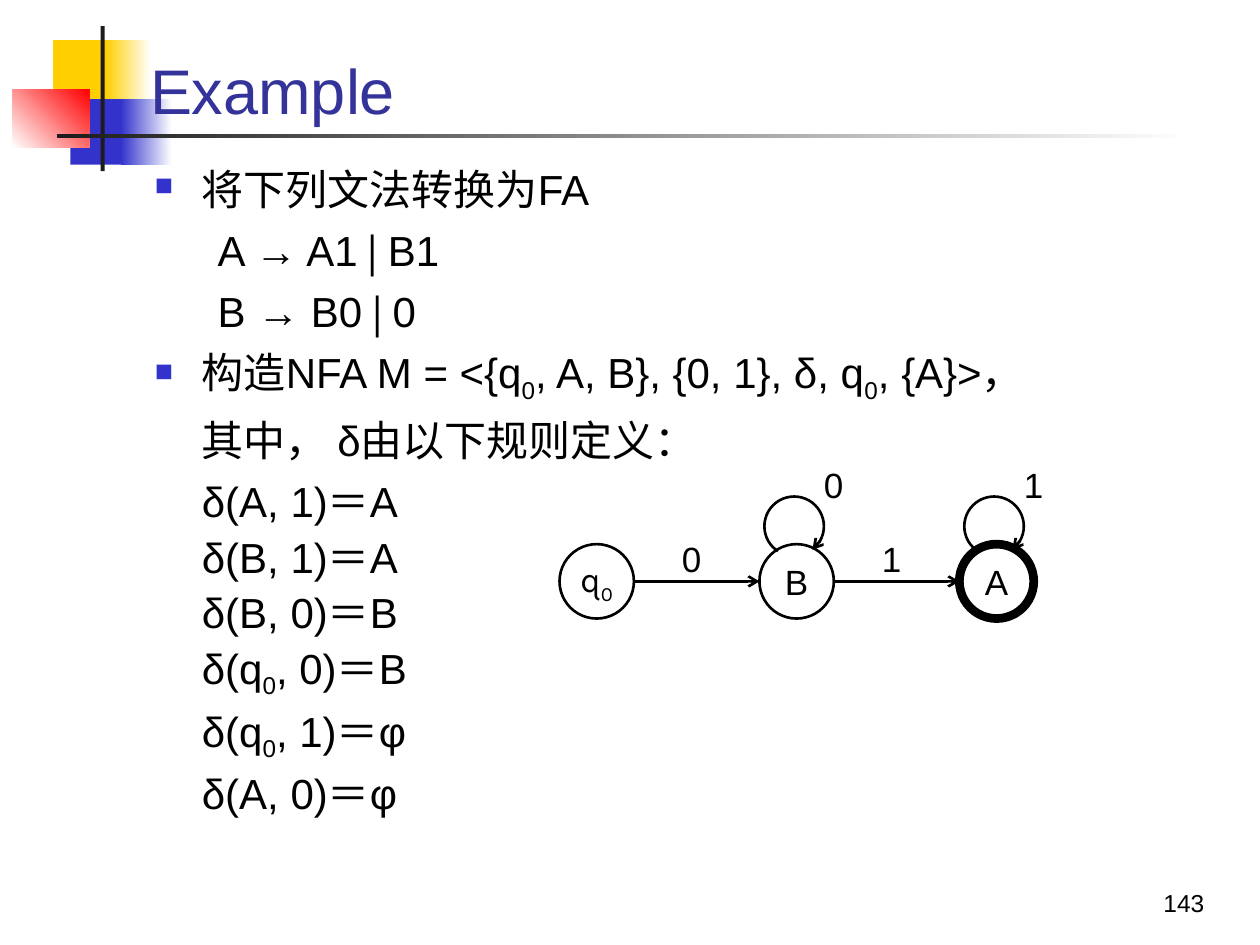
from lxml.etree import SubElement
from pptx import Presentation
from pptx.dml.color import RGBColor
from pptx.enum.shapes import MSO_CONNECTOR, MSO_SHAPE
from pptx.enum.text import MSO_ANCHOR as ANCHOR, MSO_AUTO_SIZE, PP_ALIGN as ALIGN
from pptx.oxml.ns import qn
from pptx.util import Cm, Pt

COLORS = {"yellow": "FFCF01", "blue": "3333CC", "red": "FF0000", "dark": "1C1C1C",
          "white": "FFFFFF", "title": "333399", "ink": "000000"}

# Strings in a row alternate between normal text and subscript.
# Each row: kind, space before, strings
RULES = [
    ("bullet", 0, ["将下列文法转换为FA"]),
    ("grammar", 6, ["A → A1∣B1"]),
    ("grammar", 6, ["B → B0∣0"]),
    ("bullet", 6, ["构造NFA M = <{q", "0", ", A, B}, {0, 1}, δ, q", "0", ", {A}>，"]),
    ("plain", 6, ["其中， δ由以下规则定义："]),
    ("plain", 6, ["δ(A, 1)＝A"]),
    ("plain", 3, ["δ(B, 1)＝A"]),
    ("plain", 3, ["δ(B, 0)＝B"]),
    ("plain", 3, ["δ(q", "0", ", 0)＝B"]),
    ("plain", 3, ["δ(q", "0", ", 1)＝φ"]),
    ("plain", 3, ["δ(A, 0)＝φ"]),
]
INDENTS = {"bullet": (0.95, -0.95), "grammar": (1.27, 0), "plain": (0.95, 0)}

# State name strings, font, outline width, loop label, label of the arrow to the next state
STATES = [
    (["q", "0"], "Karla", 1.5, None, "0"),
    (["B"], "Arial", 1.5, "0", "1"),
    (["A"], "Arial", 5, "1", None),
]


def rgb(name):
    return RGBColor.from_string(COLORS[name])


def add_runs(paragraph, strings, size, font="Arial", color="ink"):
    for index, text in enumerate(strings):
        run = paragraph.add_run()
        run.text = text
        run.font.name, run.font.size = font, Pt(size)
        run.font.color.rgb = rgb(color)
        if index % 2:
            run.font._element.set("baseline", "-25000")


def add_label(slide, x, y, w, h, text, size, align, anchor, wrap=False):
    frame = slide.shapes.add_textbox(Cm(x), Cm(y), Cm(w), Cm(h)).text_frame
    frame.word_wrap, frame.vertical_anchor = wrap, anchor
    frame.paragraphs[0].alignment = align
    add_runs(frame.paragraphs[0], [text], size)


def add_block(slide, x, y, w, h, colors, angle=0):
    block = slide.shapes.add_shape(MSO_SHAPE.RECTANGLE, Cm(x), Cm(y), Cm(w), Cm(h))
    block.shadow.inherit = False
    block.line.fill.background()
    if len(colors) == 1:
        block.fill.solid()
        block.fill.fore_color.rgb = rgb(colors[0])
    else:
        block.fill.gradient()
        block.fill.gradient_angle = angle
        for stop, color in zip(block.fill.gradient_stops, colors):
            stop.color.rgb = rgb(color)


def style_arrow(arrow):
    arrow.line.color.rgb = rgb("ink")
    arrow.line.width = Pt(1.5)
    SubElement(arrow.line._get_or_add_ln(), qn("a:tailEnd"), type="arrow")


def add_decoration(slide, x, y):
    # Coloured squares
    add_block(slide, x + 0.82, y + 0.28, 1.22, 1.32, ["yellow"])
    add_block(slide, x + 1.88, y + 0.28, 0.91, 1.32, ["yellow", "white"])
    add_block(slide, x + 1.17, y + 1.47, 1.17, 1.32, ["blue"])
    add_block(slide, x + 2.19, y + 1.47, 1.02, 1.32, ["blue", "white"])
    add_block(slide, x, y + 1.27, 1.55, 1.17, ["white", "red"], 45)
    # Crossing rules
    add_block(slide, x + 1.78, y, 0.08, 2.92, ["dark"])
    add_block(slide, x + 0.89, y + 2.18, 22.86, 0.08, ["dark", "white"])


def place_title(slide, x, y, w, h, text):
    title = slide.shapes.title
    title.left, title.top, title.width, title.height = Cm(x), Cm(y), Cm(w), Cm(h)
    frame = title.text_frame
    frame.vertical_anchor, frame.auto_size = ANCHOR.BOTTOM, MSO_AUTO_SIZE.NONE
    frame.paragraphs[0].alignment = ALIGN.LEFT
    add_runs(frame.paragraphs[0], [text], 36, color="title")
    slide.shapes._spTree.append(title._element)  # in front of the squares


def add_rules(slide, x, y, w, h):
    frame = slide.shapes.add_textbox(Cm(x), Cm(y), Cm(w), Cm(h)).text_frame
    frame.word_wrap = True
    for index, (kind, space, strings) in enumerate(RULES):
        paragraph = frame.add_paragraph() if index else frame.paragraphs[0]
        margin, indent = INDENTS[kind]
        props = paragraph._p.get_or_add_pPr()
        props.set("marL", str(Cm(margin)))
        props.set("indent", str(Cm(indent)))
        if kind == "bullet":
            color = SubElement(props, qn("a:buClr"))
            SubElement(color, qn("a:srgbClr"), val=COLORS["blue"])
            SubElement(props, qn("a:buSzPct"), val="60000")
            SubElement(props, qn("a:buChar"), char="■")
        if space:
            paragraph.space_before = Pt(space)
        add_runs(paragraph, strings, 24)


def add_state(slide, x, y, size, name, font, width):
    state = slide.shapes.add_shape(MSO_SHAPE.OVAL, Cm(x), Cm(y), Cm(size), Cm(size))
    state.shadow.inherit = False
    state.fill.background()
    state.line.color.rgb = rgb("ink")
    state.line.width = Pt(width)
    frame = state.text_frame
    frame.margin_left = frame.margin_right = frame.margin_top = frame.margin_bottom = 0
    frame.vertical_anchor, frame.word_wrap = ANCHOR.MIDDLE, False
    frame.paragraphs[0].alignment = ALIGN.CENTER
    add_runs(frame.paragraphs[0], name, 20, font)


def add_loop(slide, x, y, label):
    loop = slide.shapes.add_shape(MSO_SHAPE.ARC, Cm(x + 0.1), Cm(y - 0.96), Cm(1.2), Cm(1.2))
    loop.shadow.inherit = False
    loop.fill.background()
    for index, degrees in enumerate((123, 52)):
        loop.adjustments[index] = degrees * 0.6  # 60000ths of a degree over 100000
    style_arrow(loop)
    add_label(slide, x + 0.9, y - 1.74, 1.19, 1.07, label, 20, ALIGN.CENTER, ANCHOR.MIDDLE)


def add_step(slide, x, y, length, label):
    step = slide.shapes.add_connector(MSO_CONNECTOR.STRAIGHT, Cm(x), Cm(y), Cm(x + length), Cm(y))
    style_arrow(step)
    SubElement(step._element.spPr, qn("a:effectLst"))
    add_label(slide, x + 0.71, y - 1, 0.91, 1.12, label, 20, ALIGN.CENTER, ANCHOR.TOP)


def add_automaton(slide, x, y, size=1.5, pitch=4.03):
    for index, (name, font, width, loop, step) in enumerate(STATES):
        left = x + index * pitch
        add_state(slide, left, y, size, name, font, width)
        if loop:
            add_loop(slide, left, y, loop)
        if step:
            add_step(slide, left + size, y + size / 2, pitch - size, step)


def main():
    prs = Presentation()
    prs.slide_width, prs.slide_height = Cm(25.4), Cm(19.05)
    slide = prs.slides.add_slide(prs.slide_layouts[5])
    add_decoration(slide, 0.25, 0.53)
    place_title(slide, 2.77, 0.56, 21.64, 2.13, "Example")
    add_rules(slide, 2.87, 3.18, 21.59, 13.94)
    add_automaton(slide, 11.28, 10.97)
    # Page number
    add_label(slide, 19.25, 17.35, 5.28, 1.27, "143", 14, ALIGN.RIGHT, ANCHOR.BOTTOM, True)
    prs.save("out.pptx")


if __name__ == "__main__":
    main()
